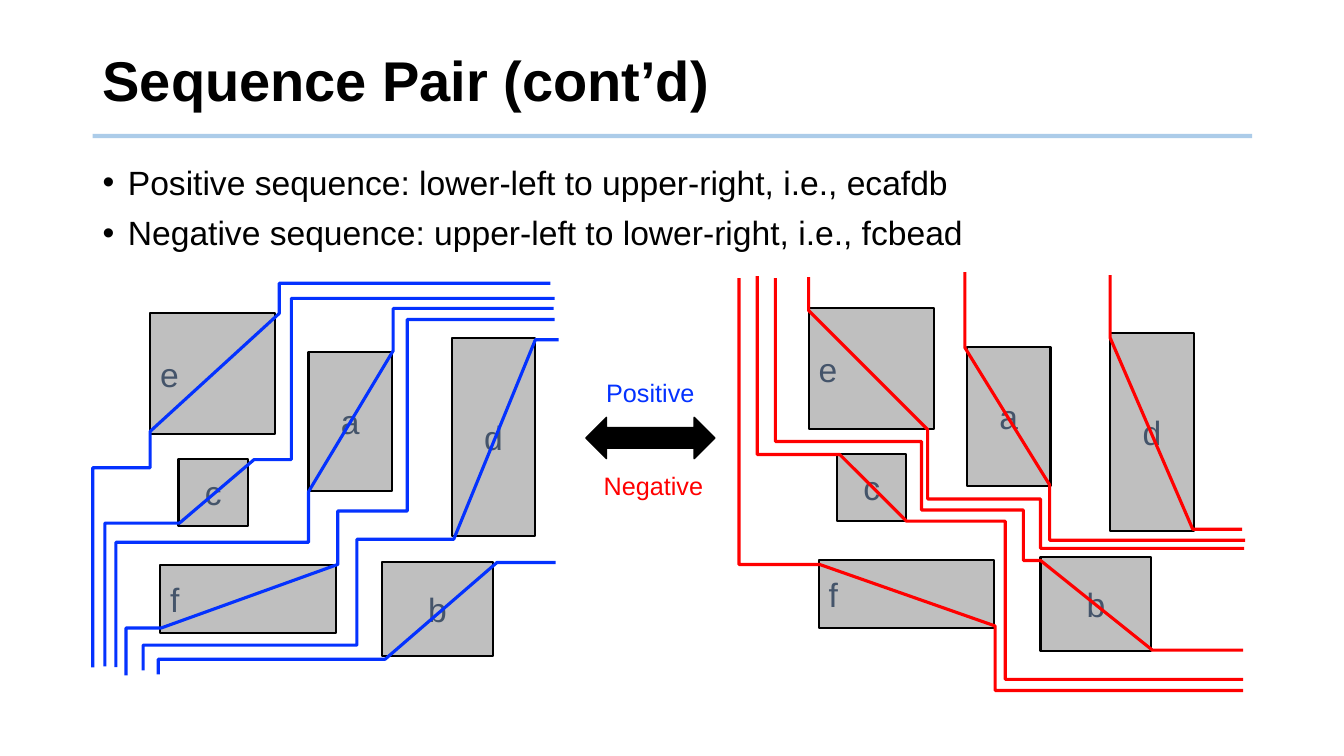
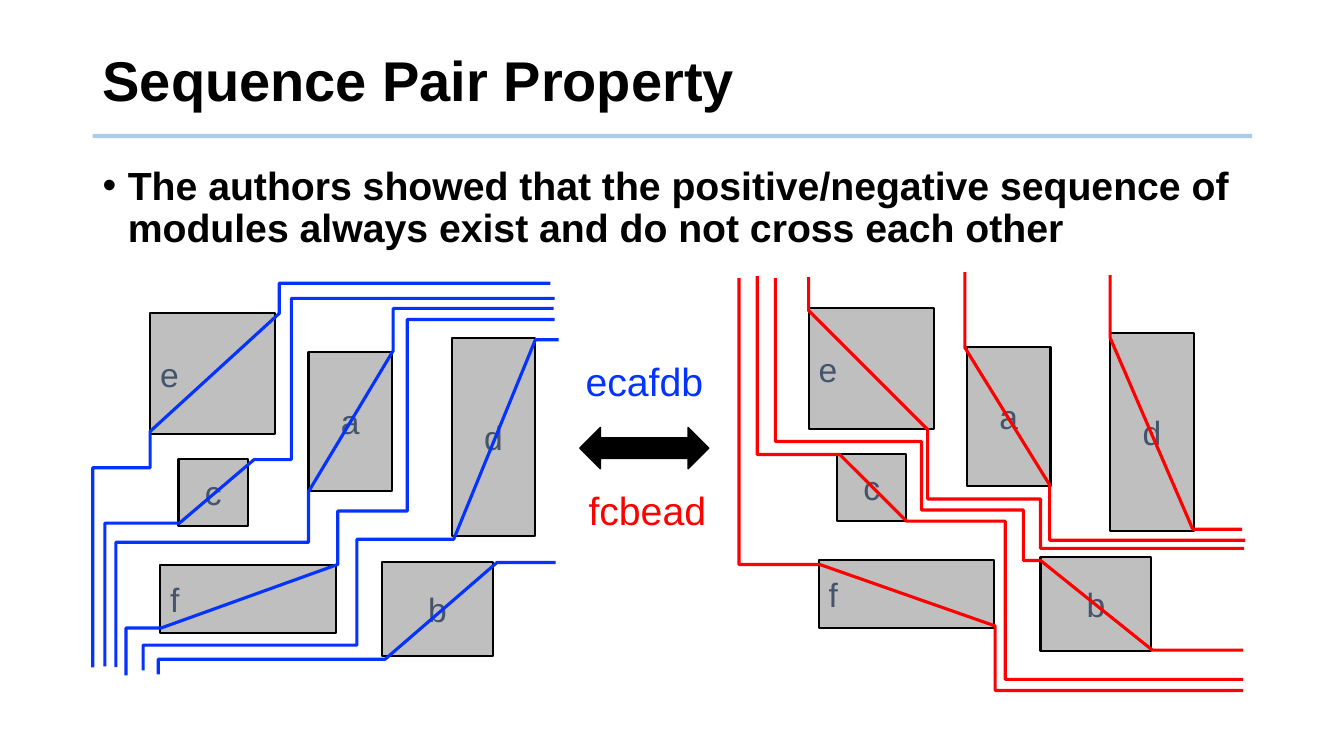
from lxml.etree import SubElement
from pptx import Presentation
from pptx.dml.color import RGBColor
from pptx.enum.shapes import MSO_CONNECTOR, MSO_SHAPE
from pptx.enum.text import MSO_ANCHOR, PP_ALIGN
from pptx.oxml.ns import qn
from pptx.util import Inches, Pt

FONT = "Arial"
COLORS = {
    "text": "000000",
    "rule": "5B9BD5",
    "module": "BFBFBF",
    "module_name": "44546A",
    "positive": "0432FF",
    "negative": "FF0000",
}

MODULES = {
    "e": (0, 0, 1.24, 1.2, PP_ALIGN.LEFT),
    "a": (1.57, 0.38, 0.83, 1.38, PP_ALIGN.CENTER),
    "f": (0.1, 2.5, 1.74, 0.67, PP_ALIGN.LEFT),
    "d": (2.99, 0.24, 0.83, 1.97, PP_ALIGN.CENTER),
    "c": (0.28, 1.44, 0.69, 0.67, PP_ALIGN.CENTER),
    "b": (2.3, 2.47, 1.1, 0.93, PP_ALIGN.CENTER),
}

POSITIVE_LOCI = {
    "e": [(-0.57, 3.51), (-0.57, 1.53), (0, 1.53), (0, 1.17), (1.28, 0),
          (1.28, -0.3), (3.97, -0.3)],
    "c": [(-0.45, 3.5), (-0.45, 2.08), (0.29, 2.08), (1.03, 1.45),
          (1.4, 1.45), (1.4, -0.15), (4.01, -0.15)],
    "a": [(-0.34, 3.51), (-0.34, 2.27), (1.57, 2.27), (1.57, 1.77),
          (2.41, 0.37), (2.41, -0.05), (4, -0.05)],
    "f": [(-0.24, 3.59), (-0.24, 3.12), (0.11, 3.12), (1.86, 2.49),
          (1.86, 1.96), (2.55, 1.96), (2.55, 0.06), (4.01, 0.06)],
    "d": [(-0.07, 3.54), (-0.07, 3.29), (2.05, 3.29), (2.05, 2.24),
          (3.01, 2.24), (3.82, 0.26), (4.05, 0.26)],
    "b": [(0.08, 3.58), (0.08, 3.43), (2.33, 3.43), (3.44, 2.47),
          (4.02, 2.47)],
}

NEGATIVE_LOCI = {
    "f": [(-0.69, -0.3), (-0.69, 2.54), (0.11, 2.54), (1.85, 3.15),
          (1.85, 3.79), (4.31, 3.79)],
    "c": [(-0.51, -0.32), (-0.51, 1.45), (0.31, 1.45), (0.97, 2.11),
          (1.95, 2.11), (1.95, 3.68), (4.31, 3.68)],
    "b": [(-0.33, -0.3), (-0.33, 1.32), (1.12, 1.32), (1.12, 2), (2.13, 2),
          (2.13, 2.5), (2.3, 2.5), (3.41, 3.39), (4.31, 3.39)],
    "e": [(0, -0.31), (0, 0.02), (1.18, 1.2), (1.18, 1.89), (2.3, 1.89),
          (2.3, 2.38), (4.32, 2.38)],
    "a": [(1.55, -0.36), (1.55, 0.39), (2.39, 1.75), (2.39, 2.3),
          (4.33, 2.3)],
    "d": [(2.99, -0.33), (2.99, 0.29), (3.81, 2.19), (4.3, 2.19)],
}


def rgb(color):
    return RGBColor.from_string(COLORS[color])


def set_font(paragraph, size, color="text", bold=False):
    font = paragraph.font
    font.name = FONT
    font.size = Pt(size)
    font.bold = bold
    font.color.rgb = rgb(color)


def paint(shape, fill, line, width):
    shape.shadow.inherit = False
    if fill:
        shape.fill.solid()
        shape.fill.fore_color.rgb = rgb(fill)
    else:
        shape.fill.background()
    shape.line.color.rgb = rgb(line)
    shape.line.width = Pt(width)


def add_frame(slide, left, top, width, height):
    frame = slide.shapes.add_textbox(
        Inches(left), Inches(top), Inches(width), Inches(height)).text_frame
    frame.word_wrap = True
    return frame


def add_bullet(paragraph):
    properties = paragraph._p.get_or_add_pPr()
    properties.set("marL", str(Inches(0.25)))
    properties.set("indent", str(-Inches(0.25)))
    SubElement(properties, qn("a:buFont"), typeface=FONT)
    SubElement(properties, qn("a:buChar"), char="•")


def add_header(slide, title, left=0.92, top=0.28, width=11.5, height=1.1):
    rule_y = Inches(top + 1.07)
    rule = slide.shapes.add_connector(
        MSO_CONNECTOR.STRAIGHT, Inches(left), rule_y, Inches(left + width), rule_y)
    rule.line.color.rgb = rgb("rule")
    rule.line.width = Pt(3)
    tint = rule.line._ln.find(".//" + qn("a:srgbClr"))
    SubElement(tint, qn("a:alpha"), val="50000")
    SubElement(rule._element.spPr, qn("a:effectLst"))

    frame = add_frame(slide, left, top, width, height)
    frame.vertical_anchor = MSO_ANCHOR.MIDDLE
    heading = frame.paragraphs[0]
    heading.text = title
    heading.line_spacing = 0.9
    set_font(heading, 40, bold=True)


def add_bullets(slide, points, size, bold, left=0.92, top=1.6, width=11.5, height=1.1):
    frame = add_frame(slide, left, top, width, height)
    for index, point in enumerate(points):
        paragraph = frame.add_paragraph() if index else frame.paragraphs[0]
        paragraph.text = point
        add_bullet(paragraph)
        paragraph.line_spacing = 0.9
        paragraph.space_before = Pt(10 if index else 0)
        set_font(paragraph, size, bold=bold)


def add_floorplan(slide, left, top, loci, color):
    for name, (dx, dy, width, height, align) in MODULES.items():
        module = slide.shapes.add_shape(
            MSO_SHAPE.RECTANGLE, Inches(left + dx), Inches(top + dy),
            Inches(width), Inches(height))
        paint(module, "module", "text", 1.5)
        frame = module.text_frame
        frame.vertical_anchor = MSO_ANCHOR.MIDDLE
        label = frame.paragraphs[0]
        label.text = name
        label.alignment = align
        set_font(label, 24, "module_name")

    for points in loci.values():
        start, *rest = [(Inches(left + x), Inches(top + y)) for x, y in points]
        builder = slide.shapes.build_freeform(*start)
        builder.add_line_segments(rest, close=False)
        paint(builder.convert_to_shape(), None, color, 2.25)


def add_legend(slide, left, top, labels, size, arrow_dy, negative_dy):
    width, inset = 1.58, 0.15
    arrow = slide.shapes.add_shape(
        MSO_SHAPE.LEFT_RIGHT_ARROW, Inches(left + inset), Inches(top + arrow_dy),
        Inches(width - 2 * inset), Inches(0.41))
    paint(arrow, "text", "text", 1)
    placements = (("positive", 0, 0), ("negative", 0.03, negative_dy))
    for text, (color, dx, dy) in zip(labels, placements):
        frame = add_frame(slide, left + dx, top + dy, width, size / 50)
        label = frame.paragraphs[0]
        label.text = text
        label.alignment = PP_ALIGN.CENTER
        set_font(label, size, color)


def add_sequence_slide(deck, title, points, size, legend, bold=False):
    slide = deck.slides.add_slide(deck.slide_layouts[6])
    add_header(slide, title)
    add_bullets(slide, points, size, bold)
    add_floorplan(slide, 1.49, 3.11, POSITIVE_LOCI, "positive")
    add_floorplan(slide, 8.02, 3.06, NEGATIVE_LOCI, "negative")
    add_legend(slide, **legend)


def main():
    deck = Presentation()
    deck.slide_width = Inches(13.33)
    deck.slide_height = Inches(7.5)
    add_sequence_slide(
        deck, "Sequence Pair (cont’d)",
        ["Positive sequence: lower-left to upper-right, i.e., ecafdb",
         "Negative sequence: upper-left to lower-right, i.e., fcbead"],
        24,
        dict(left=5.66, top=3.69, labels=("Positive", "Negative"), size=18,
             arrow_dy=0.45, negative_dy=0.93))
    add_sequence_slide(
        deck, "Sequence Pair Property",
        ["The authors showed that the positive/negative sequence of modules "
         "always exist and do not cross each other"],
        28,
        dict(left=5.6, top=3.5, labels=("ecafdb", "fcbead"), size=28,
             arrow_dy=0.74, negative_dy=1.28),
        bold=True)
    deck.save("out.pptx")


if __name__ == "__main__":
    main()
